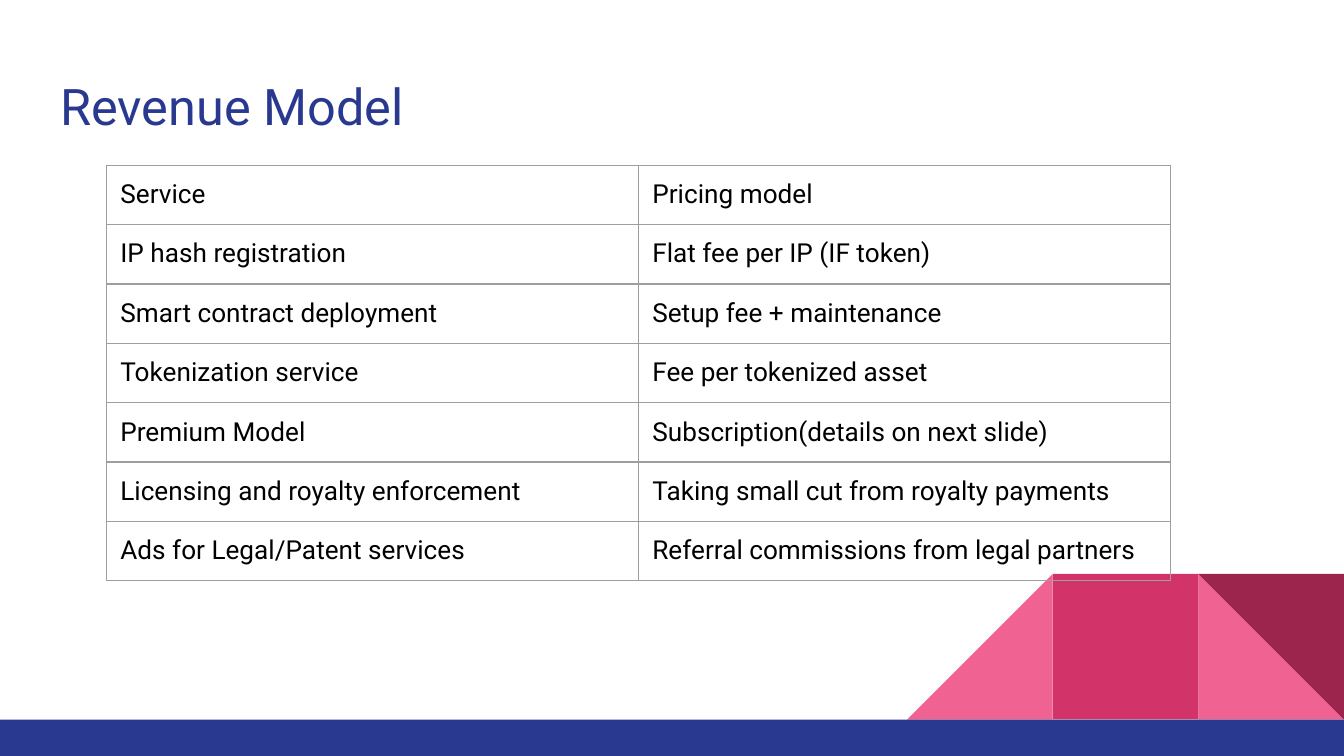
from dataclasses import dataclass

from lxml import etree
from pptx import Presentation
from pptx.dml.color import RGBColor
from pptx.enum.shapes import MSO_SHAPE
from pptx.enum.text import MSO_ANCHOR
from pptx.oxml.ns import qn
from pptx.util import Pt

RECTANGLE = MSO_SHAPE.RECTANGLE
TRIANGLE = MSO_SHAPE.RIGHT_TRIANGLE
TOP = MSO_ANCHOR.TOP
BOTTOM = MSO_ANCHOR.BOTTOM
EMU_PER_PX = 9525
SLIDE_WIDTH, SLIDE_HEIGHT = 960, 540
BAR_HEIGHT = 26
TILE = 104
COLUMN_WIDTH, ROW_HEIGHT = 380, 40


@dataclass(frozen=True)
class Theme:
    font: str = "Roboto"
    title_size: int = 27
    table_size: int = 14
    blue: str = "2A3990"
    text: str = "000000"
    light_pink: str = "F06292"
    pink: str = "D23369"
    dark_pink: str = "9C254D"
    border: str = "9E9E9E"
    border_width: float = 0.75


THEME = Theme()

PRICING = [
    ("Service", "Pricing model"),
    ("IP hash registration", "Flat fee per IP (IF token)"),
    ("Smart contract deployment", "Setup fee + maintenance"),
    ("Tokenization service", "Fee per tokenized asset"),
    ("Premium Model", "Subscription(details on next slide)"),
    ("Licensing and royalty enforcement", "Taking small cut from royalty payments"),
    ("Ads for Legal/Patent services", "Referral commissions from legal partners"),
]


def px(length):
    return length * EMU_PER_PX


def apply_format(target, values):
    for name, value in values.items():
        setattr(target, name, value)


def margins(size):
    return {f"margin_{side}": px(size) for side in ("left", "top", "right", "bottom")}


def write_text(text_frame, text, size, color):
    paragraph = text_frame.paragraphs[0]
    run = paragraph.add_run()
    run.text = text
    apply_format(run.font, {"name": THEME.font, "size": Pt(size), "bold": False})
    run.font.color.rgb = RGBColor.from_string(color)


def add_block(slide, kind, box, color, rotation=0, mirrored=False):
    shape = slide.shapes.add_shape(kind, *map(px, box))
    shape.shadow.inherit = False
    shape.fill.solid()
    shape.fill.fore_color.rgb = RGBColor.from_string(color)
    shape.line.fill.background()
    shape.rotation = rotation
    if mirrored:
        shape.element.spPr.find(qn("a:xfrm")).set("flipH", "1")


def add_decoration(slide):
    bar_top = SLIDE_HEIGHT - BAR_HEIGHT
    right, middle, left = (SLIDE_WIDTH - TILE * count for count in (1, 2, 3))
    tiles = [
        (TRIANGLE, right, THEME.light_pink, {}),
        (TRIANGLE, left, THEME.light_pink, {"mirrored": True}),
        (RECTANGLE, middle, THEME.pink, {}),
        (TRIANGLE, right, THEME.dark_pink, {"rotation": 180}),
    ]
    for kind, x, color, options in tiles:
        add_block(slide, kind, (x, bar_top - TILE, TILE, TILE), color, **options)
    add_block(slide, RECTANGLE, (0, bar_top, SLIDE_WIDTH, BAR_HEIGHT), THEME.blue)


def add_title(slide, text, box):
    text_frame = slide.shapes.add_textbox(*map(px, box)).text_frame
    apply_format(
        text_frame, {"word_wrap": True, "vertical_anchor": BOTTOM, **margins(10)}
    )
    write_text(text_frame, text, THEME.title_size, THEME.blue)


def add_borders(cell):
    properties = cell._tc.get_or_add_tcPr()
    for index, side in enumerate(("lnL", "lnR", "lnT", "lnB")):
        line = etree.Element(qn(f"a:{side}"), w=str(Pt(THEME.border_width)))
        fill = etree.SubElement(line, qn("a:solidFill"))
        etree.SubElement(fill, qn("a:srgbClr"), val=THEME.border)
        properties.insert(index, line)


def add_pricing_table(slide, rows, x, y):
    column_count = len(rows[0])
    size = (COLUMN_WIDTH * column_count, ROW_HEIGHT * len(rows))
    table = slide.shapes.add_table(
        len(rows), column_count, *map(px, (x, y, *size))
    ).table
    apply_format(table, {"first_row": False, "horz_banding": False})
    for row_index, row in enumerate(rows):
        for column_index, text in enumerate(row):
            cell = table.cell(row_index, column_index)
            cell.fill.background()
            apply_format(cell, {"vertical_anchor": TOP, **margins(10)})
            add_borders(cell)
            write_text(cell.text_frame, text, THEME.table_size, THEME.text)


def main():
    presentation = Presentation()
    presentation.slide_width = px(SLIDE_WIDTH)
    presentation.slide_height = px(SLIDE_HEIGHT)
    slide = presentation.slides.add_slide(presentation.slide_layouts[6])
    add_decoration(slide)
    add_title(slide, "Revenue Model", (33, 43, 895, 64))
    add_pricing_table(slide, PRICING, 76, 118)
    presentation.save("out.pptx")


if __name__ == "__main__":
    main()
